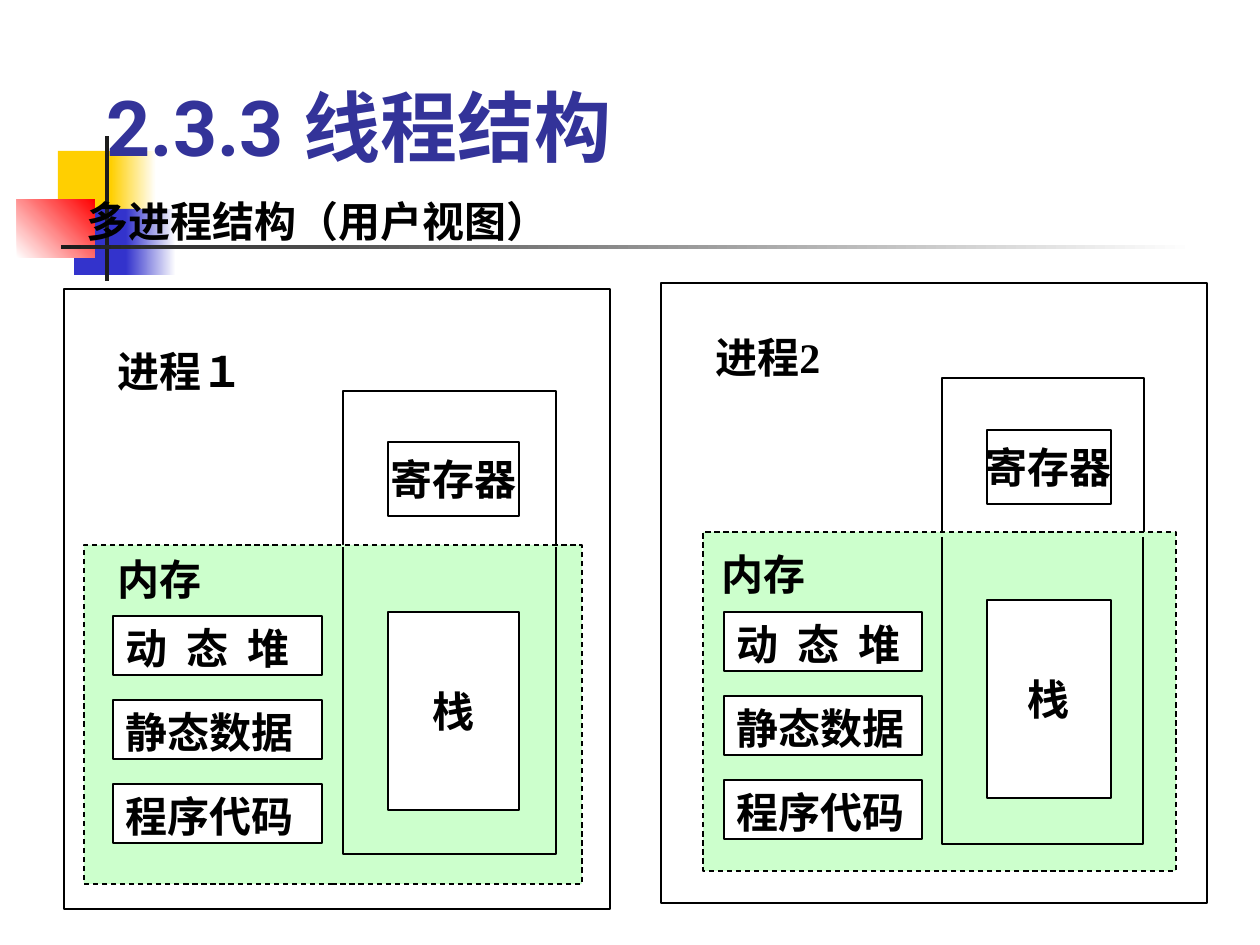
from pptx import Presentation
from pptx.dml.color import RGBColor
from pptx.enum.dml import MSO_LINE
from pptx.enum.shapes import MSO_SHAPE
from pptx.enum.text import MSO_ANCHOR, MSO_AUTO_SIZE, PP_ALIGN
from pptx.util import Emu, Pt

EMU_PER_PX = 914400 / 126
RECTANGLE = MSO_SHAPE.RECTANGLE
DASH = MSO_LINE.DASH
TOP, MIDDLE, BOTTOM = MSO_ANCHOR.TOP, MSO_ANCHOR.MIDDLE, MSO_ANCHOR.BOTTOM
LEFT, CENTER = PP_ALIGN.LEFT, PP_ALIGN.CENTER
NO_FIT, GROW = MSO_AUTO_SIZE.NONE, MSO_AUTO_SIZE.SHAPE_TO_FIT_TEXT
TITLE_ONLY = 5

BLACK, WHITE, CHARCOAL = "000000", "FFFFFF", "1C1C1C"
YELLOW, BLUE, RED = "FFCF01", "3333CC", "FF0000"
TITLE_BLUE, MEMORY_GREEN = "333399", "CCFFCC"
HEADING_FONT, BODY_FONT = "Roboto", "Times New Roman"


def px(length):
    return Emu(round(length * EMU_PER_PX))


def color(hex_string):
    return RGBColor.from_string(hex_string)


def set_values(target, values):
    for name, value in values.items():
        setattr(target, name, value)


class SlideBuilder:
    def __init__(self, slide):
        self.slide = slide
        self.shapes = slide.shapes

    def set_text(self, shape, text, font=BODY_FONT, size=24, fill=BLACK,
                 align=LEFT, anchor=TOP, wrap=True, auto_size=NO_FIT):
        frame = shape.text_frame
        set_values(frame, {
            "text": text, "auto_size": auto_size, "word_wrap": wrap,
            "vertical_anchor": anchor,
            "margin_left": Pt(7.2), "margin_right": Pt(7.2),
            "margin_top": Pt(3.6), "margin_bottom": Pt(3.6),
        })
        paragraph = frame.paragraphs[0]
        paragraph.alignment = align
        run = paragraph.runs[0]
        set_values(run.font, {"name": font, "size": Pt(size), "bold": True})
        run.font.color.rgb = color(fill)

    def title(self, text, box):
        """Format the title and bring it in front of the shapes drawn so far."""
        title = self.shapes.title
        set_values(title, dict(zip(("left", "top", "width", "height"), map(px, box))))
        self.set_text(title, text, HEADING_FONT, 44, TITLE_BLUE, anchor=BOTTOM)
        self.shapes.element.append(title.element)

    def rectangle(self, box, fill=WHITE, line=BLACK, dash=None):
        shape = self.shapes.add_shape(RECTANGLE, *map(px, box))
        shape.shadow.inherit = False
        shape.fill.solid()
        shape.fill.fore_color.rgb = color(fill)
        self.outline(shape, line)
        if dash:
            shape.line.dash_style = dash
        return shape

    def outline(self, shape, line):
        if line:
            shape.line.color.rgb = color(line)
            shape.line.width = Pt(0.75)
        else:
            shape.line.fill.background()

    def gradient(self, box, start, end, angle=0):
        shape = self.rectangle(box, line=None)
        shape.fill.gradient()
        shape.fill.gradient_angle = angle
        for stop, stop_color in zip(shape.fill.gradient_stops, (start, end)):
            stop.color.rgb = color(stop_color)

    def centered_box(self, box, text):
        self.set_text(self.rectangle(box), text, align=CENTER, anchor=MIDDLE, wrap=False)

    def label(self, box, text, font=BODY_FONT):
        self.set_text(self.shapes.add_textbox(*map(px, box)), text, font, auto_size=GROW)

    def open_outline(self, left, top, width, height):
        """Draw the left, bottom and right sides of a box."""
        right, bottom = left + width, top + height
        builder = self.shapes.build_freeform(left, top, scale=EMU_PER_PX)
        builder.add_line_segments(
            [(left, bottom), (right, bottom), (right, top)], close=False)
        shape = builder.convert_to_shape()
        shape.shadow.inherit = False
        shape.fill.background()
        self.outline(shape, BLACK)

    def process(self, name, frame, name_box, thread, memory, memory_label,
                segments, core, thread_in_memory):
        """Draw one process; core is left, width, register top and stack top."""
        self.rectangle(frame)
        self.rectangle(thread)
        self.rectangle(memory, MEMORY_GREEN, dash=DASH)
        left, top, width = segments
        for index, text in enumerate(("动  态  堆", "静态数据", "程序代码")):
            box = self.rectangle((left, top + 84 * index, width, 59))
            self.set_text(box, text)
        left, width, register_top, stack_top = core
        self.centered_box((left, register_top, width, 74), "寄存器")
        self.centered_box((left, stack_top, width, 198), "栈")
        self.set_text(self.rectangle(name_box, line=None), name, auto_size=GROW)
        self.open_outline(*thread_in_memory)
        self.label(memory_label, "内存", HEADING_FONT)


def main():
    presentation = Presentation()
    presentation.slide_width, presentation.slide_height = px(1260), px(945)
    layout = presentation.slide_layouts[TITLE_ONLY]
    builder = SlideBuilder(presentation.slides.add_slide(layout))

    builder.rectangle((58, 151, 60, 66), YELLOW, line=None)
    builder.gradient((111, 151, 45, 66), YELLOW, WHITE)
    builder.rectangle((74, 209, 58, 66), BLUE, line=None)
    builder.gradient((126, 209, 50, 66), BLUE, WHITE)
    builder.gradient((17, 199, 78, 59), WHITE, RED, angle=45)
    builder.rectangle((105, 136, 4, 145), CHARCOAL, line=None)
    builder.gradient((61, 245, 1134, 4), CHARCOAL, WHITE)
    builder.title("2.3.3 线程结构", (94, 42, 1071, 136))
    builder.label((74, 189, 525, 63), "多进程结构（用户视图）")

    builder.process(
        "进程１", frame=(64, 289, 546, 620), name_box=(105, 339, 154, 63),
        thread=(343, 391, 213, 473), memory=(84, 545, 498, 339),
        memory_label=(105, 547, 129, 63), segments=(113, 616, 209),
        core=(388, 131, 442, 612), thread_in_memory=(343, 547, 213, 307))
    builder.process(
        "进程2", frame=(661, 283, 546, 620), name_box=(703, 325, 136, 113),
        thread=(942, 378, 202, 473), memory=(703, 532, 473, 339),
        memory_label=(709, 542, 129, 63), segments=(724, 612, 198),
        core=(987, 124, 430, 600), thread_in_memory=(942, 537, 201, 307))
    presentation.save("out.pptx")


if __name__ == "__main__":
    main()
